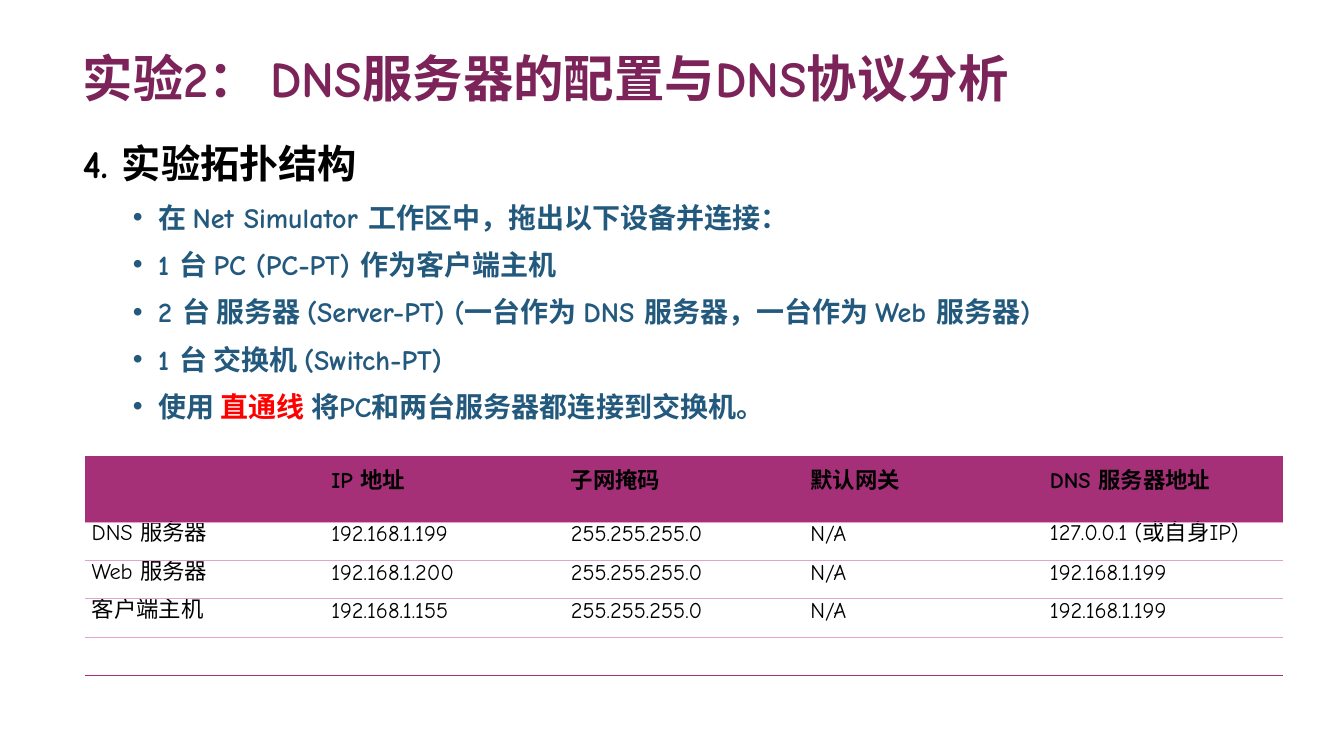
from pptx import Presentation
from pptx import util as u
from pptx.dml.color import RGBColor
from pptx.enum import text
from pptx.oxml.ns import qn
from lxml import etree

# Content
TITLE = "实验2： DNS服务器的配置与DNS协议分析"
HEADING = "4. 实验拓扑结构"
STEPS = [  # each step is a list of (words, colour name)
    [("在 Net Simulator 工作区中，拖出以下设备并连接：", "step")],
    [("1 台 PC (PC-PT) 作为客户端主机", "step")],
    [("2 台 服务器 (Server-PT) (一台作为 DNS 服务器，一台作为 Web 服务器)", "step")],
    [("1 台 交换机 (Switch-PT)", "step")],
    [("使用 ", "step"), ("直通线 ", "alert"),
     ("将PC和两台服务器都连接到交换机。", "step")],
]
ADDRESSES = [
    ("", "IP 地址", "子网掩码", "默认网关", "DNS 服务器地址"),
    ("DNS 服务器", "192.168.1.199", "255.255.255.0", "N/A", "127.0.0.1 (或自身IP)"),
    ("Web 服务器", "192.168.1.200", "255.255.255.0", "N/A", "192.168.1.199"),
    ("客户端主机", "192.168.1.155", "255.255.255.0", "N/A", "192.168.1.199"),
    ("", "", "", "", ""),
]

THEME = {
    "font": "Comic Neue",
    "title": "7C245A", "ink": "000000", "step": "22597D", "alert": "FF0000",
    "header": "A53078", "row": "FFFFFF", "rule": "E4A3CB",
    "title_size": 36, "heading_size": 28, "step_size": 20, "cell_size": 16,
}
LEFT, WIDTH = 0.72, 11.88
TABLE_LEFT, TABLE_TOP = 0.84, 4.52
HEADER_HEIGHT, ROW_HEIGHT = 0.66, 0.38


def colour(name):
    return RGBColor.from_string(THEME[name])


def add_run(paragraph, words, colour_name, size_name, bold=True):
    run = paragraph.add_run()
    run.text = words
    run.font.name = THEME["font"]
    run.font.size = u.Pt(THEME[size_name])
    run.font.bold = bold
    run.font.color.rgb = colour(colour_name)


def add_bullet(paragraph):
    properties = paragraph._p.get_or_add_pPr()
    properties.set("marL", str(u.Inches(0.75)))
    properties.set("indent", str(u.Inches(-0.25)))
    bullet_colour = etree.SubElement(properties, qn("a:buClr"))
    etree.SubElement(bullet_colour, qn("a:srgbClr")).set("val", THEME["step"])
    etree.SubElement(properties, qn("a:buFont")).set("typeface", "Arial")
    etree.SubElement(properties, qn("a:buChar")).set("char", "•")


def set_borders(cell, top, bottom):
    properties = cell._tc.get_or_add_tcPr()
    edges = (("a:lnL", None), ("a:lnR", None), ("a:lnT", top), ("a:lnB", bottom))
    for position, (tag, name) in enumerate(edges):
        line = etree.Element(qn(tag), w=str(u.Pt(0.75)))
        if name:
            fill = etree.SubElement(line, qn("a:solidFill"))
            etree.SubElement(fill, qn("a:srgbClr")).set("val", THEME[name])
        else:
            etree.SubElement(line, qn("a:noFill"))
        properties.insert(position, line)


def add_title(slide):
    title = slide.shapes.title
    title.left, title.top = u.Inches(LEFT), u.Inches(0.14)
    title.width, title.height = u.Inches(WIDTH), u.Inches(0.98)
    title.text_frame.vertical_anchor = text.MSO_ANCHOR.BOTTOM
    paragraph = title.text_frame.paragraphs[0]
    paragraph.alignment = text.PP_ALIGN.LEFT
    add_run(paragraph, TITLE, "title", "title_size")


def add_steps(slide):
    frame = slide.shapes.add_textbox(
        u.Inches(LEFT), u.Inches(1.24), u.Inches(WIDTH), u.Inches(5.47)).text_frame
    frame.word_wrap = True
    heading = frame.paragraphs[0]
    heading.line_spacing = 1.2
    add_run(heading, HEADING, "ink", "heading_size")
    for step in STEPS:
        paragraph = frame.add_paragraph()
        paragraph.line_spacing = 1.2
        paragraph.space_before = u.Pt(5)
        add_bullet(paragraph)
        for words, colour_name in step:
            add_run(paragraph, words, colour_name, "step_size")


def add_addresses(slide):
    last = len(ADDRESSES) - 1
    table = slide.shapes.add_table(
        len(ADDRESSES), len(ADDRESSES[0]), u.Inches(TABLE_LEFT), u.Inches(TABLE_TOP),
        u.Inches(WIDTH), u.Inches(HEADER_HEIGHT + last * ROW_HEIGHT)).table
    for r, values in enumerate(ADDRESSES):
        is_header = r == 0
        table.rows[r].height = u.Inches(HEADER_HEIGHT if is_header else ROW_HEIGHT)
        for c, value in enumerate(values):
            cell = table.cell(r, c)
            cell.margin_left = cell.margin_right = u.Inches(0.07)
            cell.margin_top = cell.margin_bottom = u.Inches(0.04)
            cell.vertical_anchor = text.MSO_ANCHOR.MIDDLE
            cell.fill.solid()
            cell.fill.fore_color.rgb = colour("header" if is_header else "row")
            set_borders(cell, None if is_header else "rule",
                        None if is_header else "header" if r == last else "rule")
            paragraph = cell.text_frame.paragraphs[0]
            paragraph.line_spacing = u.Pt(8.6)
            if value:
                add_run(paragraph, value, "ink", "cell_size", is_header)


# Slide
deck = Presentation()
deck.slide_width, deck.slide_height = u.Inches(13.33), u.Inches(7.5)
slide = deck.slides.add_slide(deck.slide_layouts[5])
add_title(slide)
add_steps(slide)
add_addresses(slide)
deck.save("out.pptx")
